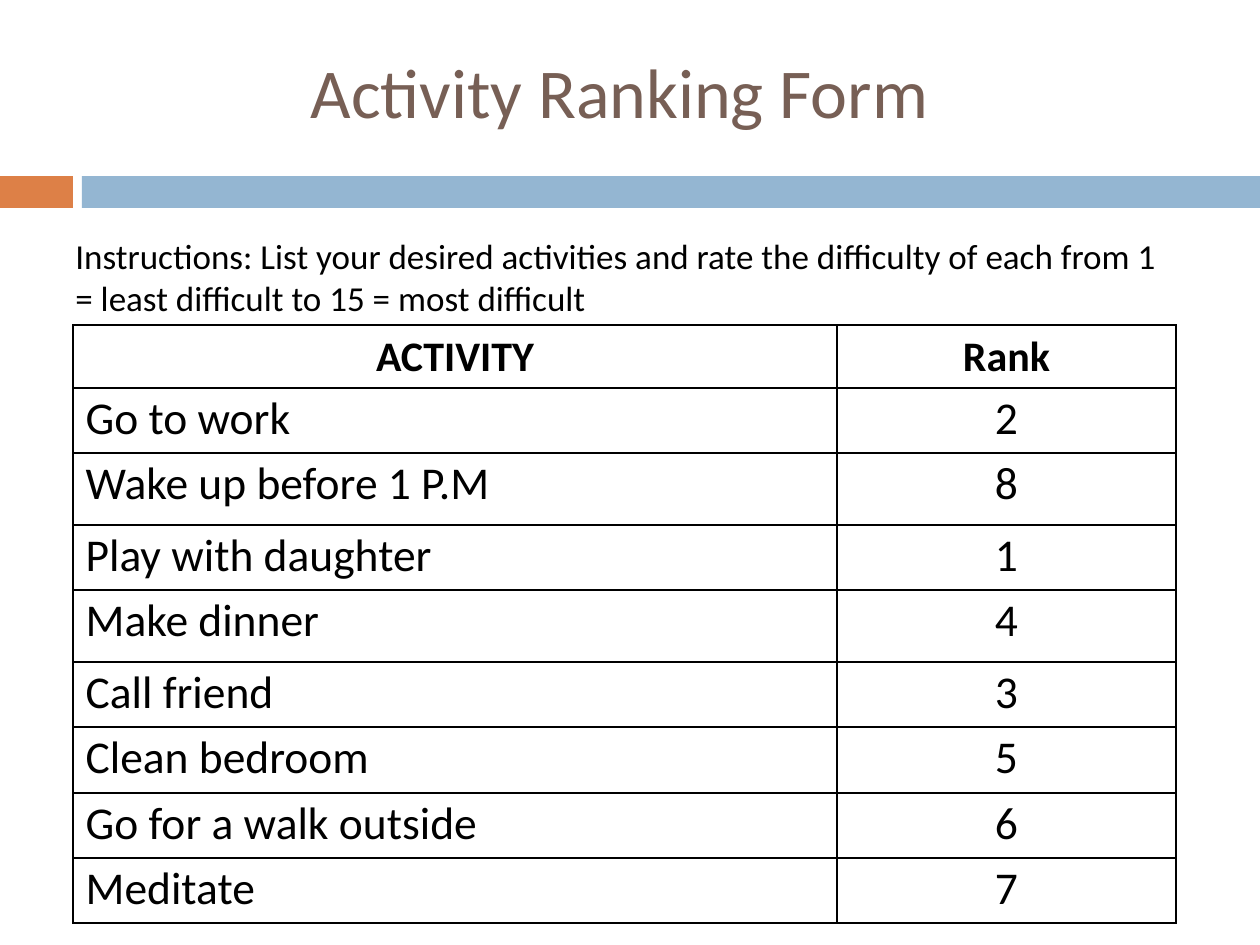
from dataclasses import dataclass

from lxml import etree
from pptx import Presentation
from pptx.dml.color import RGBColor
from pptx.enum.shapes import MSO_SHAPE
from pptx.enum.text import PP_ALIGN
from pptx.oxml.ns import qn
from pptx.util import Emu, Pt

RECT = MSO_SHAPE.RECTANGLE
LEFT, MID = PP_ALIGN.LEFT, PP_ALIGN.CENTER
FONT = "Calibri"
SCALE = 914400 / 126
HUES = {
    "orange": "DD8047",
    "blue": "94B6D2",
    "brown": "775F55",
    "black": "000000",
    "white": "FFFFFF",
}


@dataclass
class Bar:
    left: int
    width: int
    hue: str


@dataclass
class Row:
    task: str
    rank: str
    height: int


BARS = [Bar(0, 73, "orange"), Bar(82, 1178, "blue")]
HEAD = Row("ACTIVITY", "Rank", 63)
TASKS = [
    Row("Go to work", "2", 65),
    Row("Wake up before 1 P.M", "8", 72),
    Row("Play with daughter", "1", 65),
    Row("Make dinner", "4", 72),
    Row("Call friend", "3", 65),
    Row("Clean bedroom", "5", 66),
    Row("Go for a walk outside", "6", 65),
    Row("Meditate", "7", 65),
]
COLS = [764, 339]


def px(num: int) -> Emu:
    return Emu(round(num * SCALE))


def tint(name: str) -> RGBColor:
    return RGBColor.from_string(HUES[name])


def add_run(para, text: str, size: int, hue: str = "black", bold: bool = False) -> None:
    run = para.add_run()
    run.text = text
    run.font.name = FONT
    run.font.size = Pt(size)
    run.font.bold = bold
    run.font.color.rgb = tint(hue)


def draw_bar(slide, bar: Bar) -> None:
    shape = slide.shapes.add_shape(RECT, px(bar.left), px(176), px(bar.width), px(32))
    shape.shadow.inherit = False
    shape.fill.solid()
    shape.fill.fore_color.rgb = tint(bar.hue)
    shape.line.fill.background()


def draw_text(slide) -> None:
    box = slide.shapes.add_textbox(px(63), px(42), px(1113), px(285))
    frame = box.text_frame
    frame.word_wrap = True
    title = frame.paragraphs[0]
    title.alignment = MID
    add_run(title, "Activity Ranking Form", 40, "brown")
    guide = frame.add_paragraph()
    guide.space_before = Pt(58.6)
    add_run(
        guide,
        "Instructions: List your desired activities and rate the difficulty "
        "of each from 1 = least difficult to 15 = most difficult",
        20,
    )


def style_cell(cell) -> None:
    props = cell._tc.get_or_add_tcPr()
    for side in ("a:lnL", "a:lnR", "a:lnT", "a:lnB"):
        line = etree.SubElement(props, qn(side), w=str(Pt(1)))
        fill = etree.SubElement(line, qn("a:solidFill"))
        etree.SubElement(fill, qn("a:srgbClr"), val=HUES["black"])
    cell.fill.solid()
    cell.fill.fore_color.rgb = tint("white")


def fill_cell(cell, text: str, align: PP_ALIGN, head: bool) -> None:
    style_cell(cell)
    para = cell.text_frame.paragraphs[0]
    para.alignment = align
    if not head:
        para.line_spacing = 0.9
        para.space_before = Pt(1)
    add_run(para, text, 24 if head else 26, bold=head)


def draw_table(slide) -> None:
    rows = [HEAD, *TASKS]
    high = sum(row.height for row in rows)
    table = slide.shapes.add_table(
        len(rows), len(COLS), px(73), px(325), px(sum(COLS)), px(high)
    ).table
    table.first_row = False
    table.horz_banding = False
    for col, width in zip(table.columns, COLS):
        col.width = px(width)
    for i, row in enumerate(rows):
        head = row is HEAD
        table.rows[i].height = px(row.height)
        fill_cell(table.cell(i, 0), row.task, MID if head else LEFT, head)
        fill_cell(table.cell(i, 1), row.rank, MID, head)


def main() -> None:
    deck = Presentation()
    deck.slide_width, deck.slide_height = px(1260), px(945)
    slide = deck.slides.add_slide(deck.slide_layouts[6])
    for bar in BARS:
        draw_bar(slide, bar)
    draw_text(slide)
    draw_table(slide)
    deck.save("out.pptx")


if __name__ == "__main__":
    main()
